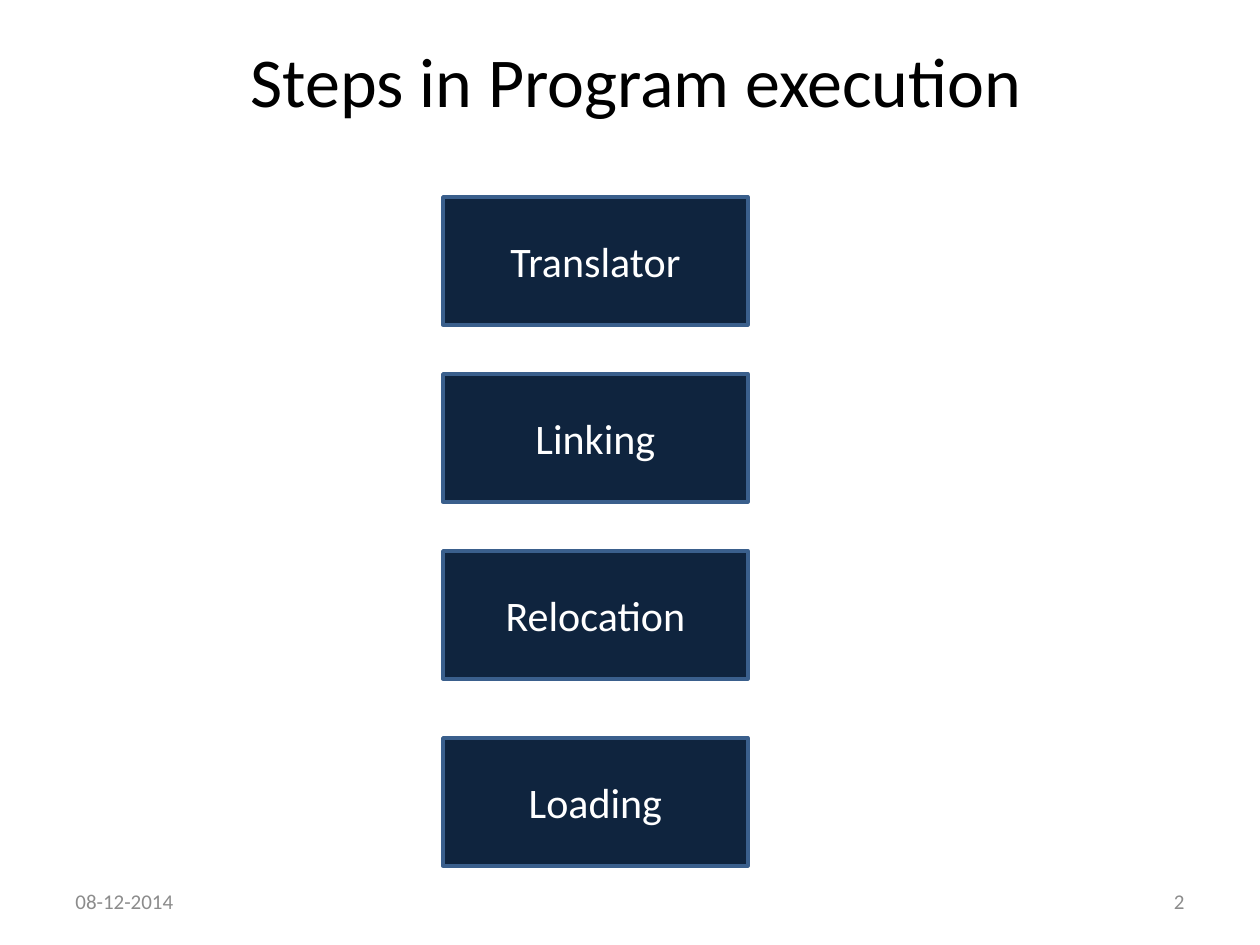
from pptx import Presentation
from pptx.dml.color import RGBColor
from pptx.enum.shapes import MSO_SHAPE as Shape
from pptx.enum.text import MSO_ANCHOR as Anchor, PP_ALIGN as Align
from pptx.util import Pt

PX = 914400 // 126

BLACK = RGBColor(0x00, 0x00, 0x00)
WHITE = RGBColor(0xFF, 0xFF, 0xFF)
NAVY = RGBColor(0x0F, 0x24, 0x3E)
BLUE = RGBColor(0x3A, 0x5F, 0x8C)
GRAY = RGBColor(0x8C, 0x8C, 0x8C)


def write(box, text, size, color, align):
    """Put one vertically centred line of text in the box."""
    frame = box.text_frame
    frame.word_wrap = True
    frame.vertical_anchor = Anchor.MIDDLE
    para = frame.paragraphs[0]
    para.alignment = align
    span = para.add_run()
    span.text = text
    span.font.name = "Calibri"
    span.font.size = Pt(size)
    span.font.color.rgb = color


deck = Presentation()
deck.slide_width = 1260 * PX
deck.slide_height = 945 * PX
page = deck.slides.add_slide(deck.slide_layouts[6])

title = page.shapes.add_textbox(69 * PX, 0, 1134 * PX, 158 * PX)
write(title, "Steps in Program execution", 40, BLACK, Align.CENTER)

steps = [("Translator", 197), ("Linking", 374), ("Relocation", 551), ("Loading", 738)]
for name, top in steps:
    step = page.shapes.add_shape(Shape.RECTANGLE, 443 * PX, top * PX, 305 * PX, 128 * PX)
    step.shadow.inherit = False
    step.fill.solid()
    step.fill.fore_color.rgb = NAVY
    step.line.color.rgb = BLUE
    step.line.width = Pt(2)
    write(step, name, 24, WHITE, Align.CENTER)

footers = [("08-12-2014", 63, Align.LEFT), ("2", 903, Align.RIGHT)]
for text, left, align in footers:
    footer = page.shapes.add_textbox(left * PX, 876 * PX, 294 * PX, 50 * PX)
    write(footer, text, 12, GRAY, align)

deck.save("out.pptx")
